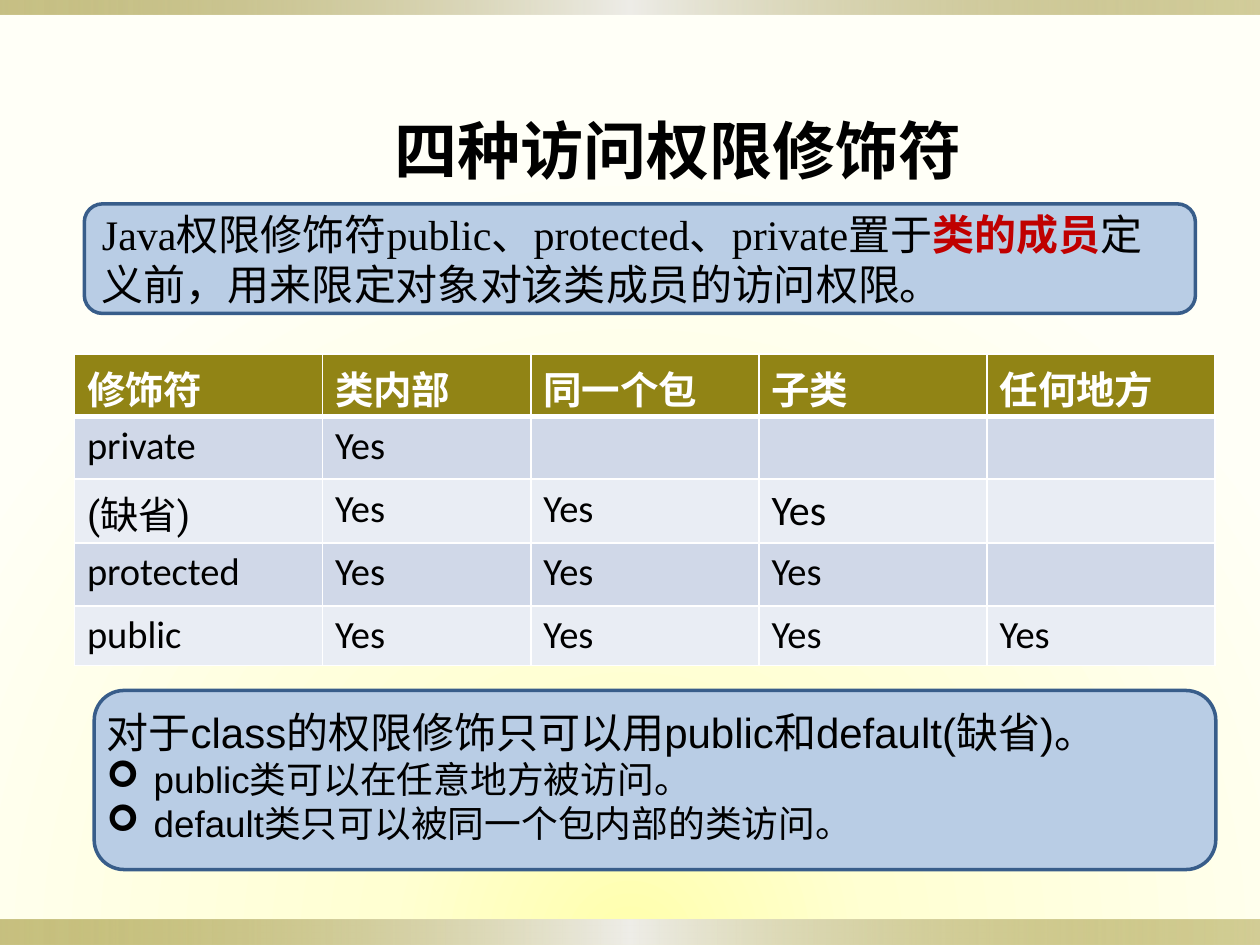
from lxml.etree import SubElement
from pptx import Presentation
from pptx.dml.color import RGBColor
from pptx.enum.shapes import MSO_SHAPE as Shape
from pptx.enum.text import MSO_ANCHOR as Anchor, MSO_AUTO_SIZE as AutoSize, PP_ALIGN as Align
from pptx.oxml import parse_xml
from pptx.oxml.ns import qn
from pptx.util import Cm, Pt


def color(value):
    return RGBColor.from_string(value)


def write(para, text, size=24, font="Arial", ink="000000", bold=False):
    para.alignment = Align.LEFT
    span = para.add_run()
    span.text = text
    span.font.size = Pt(size)
    span.font.name = font
    span.font.bold = bold
    span.font.color.rgb = color(ink)


deck = Presentation()
deck.slide_width, deck.slide_height = Cm(25.4), Cm(19.05)
page = deck.slides.add_slide(deck.slide_layouts[5])

page.background.fill.gradient()
glow = '<a:path path="circle"><a:fillToRect l="50000" t="150000" r="50000"/></a:path>'
sweep = '<a:lin ang="0" scaled="1"/>'
band_stops = [(0, "918415", 50), (50, "EEEDE8", 100), (100, "918415", 40)]
gradients = [(page.element, [(0, "FFFFAC", 100), (31, "FFFFD2", 100), (100, "FFFFF7", 100)], glow)]
for top, height in [(18.54, 0.51), (0, 0.3)]:
    band = page.shapes.add_shape(Shape.RECTANGLE, 0, Cm(top), deck.slide_width, Cm(height))
    band.shadow.inherit = False
    band.line.fill.background()
    band.fill.gradient()
    gradients.append((band.element, band_stops, sweep))
for owner, stops, direction in gradients:
    marks = "".join(
        f'<a:gs pos="{place * 1000}"><a:srgbClr val="{value}"><a:alpha val="{opacity * 1000}"/></a:srgbClr></a:gs>'
        for place, value, opacity in stops)
    fill = next(owner.iter(qn("a:gradFill")))
    fill.getparent().replace(fill, parse_xml(
        '<a:gradFill xmlns:a="http://schemas.openxmlformats.org/drawingml/2006/main" rotWithShape="1">'
        f'<a:gsLst>{marks}</a:gsLst>{direction}</a:gradFill>'))

panels = []
for left, top, width, height in [(1.9, 13.92, 22.61, 3.61), (1.7, 4.11, 22.4, 2.21)]:
    panel = page.shapes.add_shape(Shape.ROUNDED_RECTANGLE, Cm(left), Cm(top), Cm(width), Cm(height))
    panel.shadow.inherit = False
    panel.fill.solid()
    panel.fill.fore_color.rgb = color("B9CDE5")
    panel.line.color.rgb = color("385D8A")
    panel.line.width = Pt(2)
    panels.append(panel)

intro = panels[1].text_frame
intro.word_wrap = True
intro.vertical_anchor = Anchor.MIDDLE
for text, ink, bold in [
    ("Java权限修饰符public、protected、private置于", "000000", False),
    ("类的成员", "C00000", True),
    ("定义前，用来限定对象对该类成员的访问权限。", "000000", False),
]:
    write(intro.paragraphs[0], text, font="Times New Roman", ink=ink, bold=bold)

title = page.shapes.title
title.left, title.top, title.width, title.height = Cm(7.7), Cm(2.13), Cm(12.6), Cm(1.8)
title.text_frame.auto_size = AutoSize.NONE
title.text_frame.vertical_anchor = Anchor.TOP
write(title.text_frame.paragraphs[0], "四种访问权限修饰符", size=36, bold=True)

rows = [
    ["修饰符", "类内部", "同一个包", "子类", "任何地方"],
    ["private", "Yes", "", "", ""],
    ["(缺省)", "Yes", "Yes", "Yes", ""],
    ["protected", "Yes", "Yes", "Yes", ""],
    ["public", "Yes", "Yes", "Yes", "Yes"],
]
table = page.shapes.add_table(5, 5, Cm(1.5), Cm(7.14), Cm(23), Cm(6.18)).table
for column, width in zip(table.columns, [5, 4.2, 4.6, 4.6, 4.6]):
    column.width = Cm(width)
for row, height in zip(table.rows, [1.19, 1.27, 1.27, 1.27, 1.19]):
    row.height = Cm(height)
for r, texts in enumerate(rows):
    for c, text in enumerate(texts):
        cell = table.cell(r, c)
        para = cell.text_frame.paragraphs[0]
        if r == 0:
            write(para, text, size=22, font="Noto Sans CJK SC", ink="FFFFFF", bold=True)
        elif text:
            write(para, text, size=24 if (r, c) == (2, 3) else 22,
                  font="Roboto" if text == "(缺省)" else "Calibri")
        else:
            para.font.size = Pt(22)
        if r == 0 or text == "(缺省)":
            cell.margin_bottom = 0
        borders = cell._tc.get_or_add_tcPr()
        for side in "LRTB":
            heavy = (r, side) in [(0, "B"), (1, "T")]
            line = SubElement(borders, qn(f"a:ln{side}"), w=str(Pt(3 if heavy else 1)))
            SubElement(SubElement(line, qn("a:solidFill")), qn("a:srgbClr"), val="FFFFFF")
        cell.fill.solid()
        cell.fill.fore_color.rgb = color("918415" if r == 0 else "D0D8E8" if r % 2 else "E9EDF4")

notes = page.shapes.add_textbox(Cm(1.9), Cm(14.12), Cm(22.61), Cm(3.18)).text_frame
notes.word_wrap = True
write(notes.paragraphs[0], "对于class的权限修饰只可以用public和default(缺省)。")
for text in ["public类可以在任意地方被访问。", "default类只可以被同一个包内部的类访问。"]:
    para = notes.add_paragraph()
    write(para, text, size=21)
    layout = para._p.get_or_add_pPr()
    layout.set("marL", str(Cm(0.95)))
    layout.set("indent", str(-Cm(0.95)))
    SubElement(layout, qn("a:buFont"), typeface="Wingdings")
    SubElement(layout, qn("a:buChar"), char="➢")

deck.save("out.pptx")
